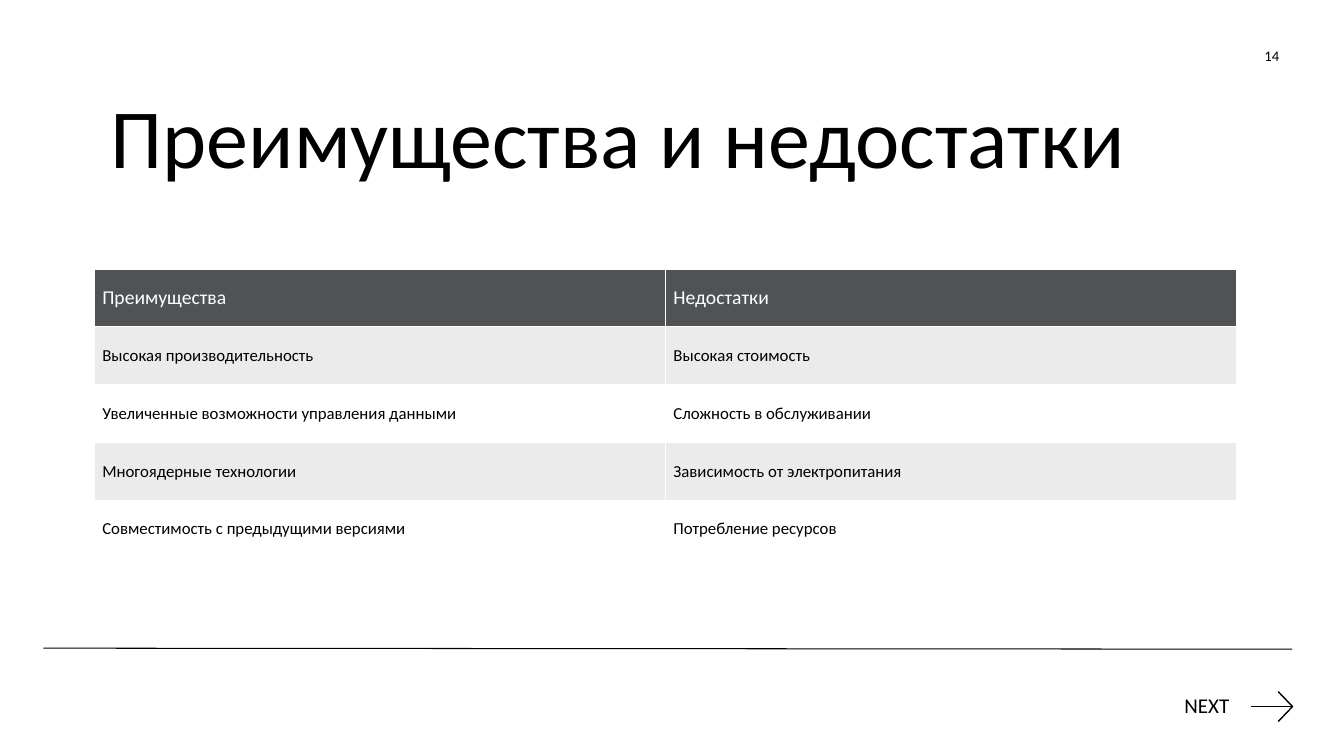
from dataclasses import dataclass

from lxml.etree import SubElement
from pptx import Presentation
from pptx.dml.color import RGBColor as RGB
from pptx.enum.shapes import MSO_CONNECTOR
from pptx.enum.text import MSO_ANCHOR as ANCHOR, MSO_AUTO_SIZE as AUTO, PP_ALIGN as ALIGN
from pptx.oxml.ns import qn
from pptx.util import Pt


@dataclass(frozen=True)
class Theme:
    font: str = "Calibri"
    ink: RGB = RGB(0x00, 0x00, 0x00)
    paper: RGB = RGB(0xFF, 0xFF, 0xFF)
    header: RGB = RGB(0x50, 0x53, 0x56)
    band: RGB = RGB(0xEB, 0xEB, 0xEB)
    title_size: float = 60
    next_size: float = 15
    header_size: float = 14
    body_size: float = 12
    number_size: float = 10.5


theme = Theme()


def write(tf, text, size, color=theme.ink, align=ALIGN.LEFT, anchor=ANCHOR.TOP,
          insets=(7.2, 3.6), spacing=None, auto_size=None):
    """Fill a text frame; insets are (left and right, top and bottom)."""
    tf.word_wrap = True
    tf.vertical_anchor = anchor
    tf.margin_left = tf.margin_right = Pt(insets[0])
    tf.margin_top = tf.margin_bottom = Pt(insets[1])
    if auto_size is not None:
        tf.auto_size = auto_size
    p = tf.paragraphs[0]
    p.alignment = align
    p.line_spacing = spacing
    r = p.add_run()
    r.text = text
    r.font.name, r.font.size, r.font.color.rgb = theme.font, Pt(size), color


def add_borders(cell, color, width):
    tc_pr = cell._tc.get_or_add_tcPr()
    for side in ("a:lnL", "a:lnR", "a:lnT", "a:lnB"):
        ln = SubElement(tc_pr, qn(side), w=str(Pt(width)))
        fill = SubElement(ln, qn("a:solidFill"))
        SubElement(fill, qn("a:srgbClr"), val=str(color))


prs = Presentation()
prs.slide_width, prs.slide_height = Pt(960), Pt(540)
s = prs.slides.add_slide(prs.slide_layouts[6])

# Next arrow and footer rule
tip = (923.3, 504.7)
for start, end, width in [
    ((893.5, 504.7), tip, 1),
    ((913, 494), tip, 1),
    ((913, 515.4), tip, 1),
    ((31, 463), (923, 463.7), 0.75),
]:
    line = s.shapes.add_connector(MSO_CONNECTOR.STRAIGHT, *map(Pt, start + end))
    line.line.color.rgb = theme.ink
    line.line.width = Pt(width)
    SubElement(line._element.spPr, qn("a:effectLst"))

# Labels
for text, box, style in [
    ("NEXT", (843, 493, 60, 24),
     dict(size=theme.next_size, insets=(3, 3.6), spacing=0.9,
          auto_size=AUTO.SHAPE_TO_FIT_TEXT)),
    ("Преимущества и недостатки", (72, 57, 822, 104), dict(size=theme.title_size)),
    ("14", (894, 25.5, 29, 28),
     dict(size=theme.number_size, align=ALIGN.CENTER, anchor=ANCHOR.MIDDLE)),
]:
    sp = s.shapes.add_textbox(*map(Pt, box))
    write(sp.text_frame, text, **style)

# Advantages and disadvantages
rows = [
    ("Преимущества", "Недостатки"),
    ("Высокая производительность", "Высокая стоимость"),
    ("Увеличенные возможности управления данными", "Сложность в обслуживании"),
    ("Многоядерные технологии", "Зависимость от электропитания"),
    ("Совместимость с предыдущими версиями", "Потребление ресурсов"),
]
row_height = 41.3
table = s.shapes.add_table(len(rows), 2, Pt(67.3), Pt(192.2),
                           Pt(816), Pt(row_height * len(rows))).table
for i, row in enumerate(rows):
    table.rows[i].height = Pt(row_height)
    if i == 0:
        fill, color, size = theme.header, theme.paper, theme.header_size
    else:
        fill = theme.band if i % 2 else theme.paper
        color, size = theme.ink, theme.body_size
    for j, text in enumerate(row):
        cell = table.cell(i, j)
        write(cell.text_frame, text, size, color)
        cell.vertical_anchor = ANCHOR.MIDDLE
        cell.margin_left = cell.margin_right = Pt(5.8)
        cell.margin_top = cell.margin_bottom = Pt(5.8)
        add_borders(cell, theme.paper, 1)
        cell.fill.solid()
        cell.fill.fore_color.rgb = fill

prs.save("out.pptx")
